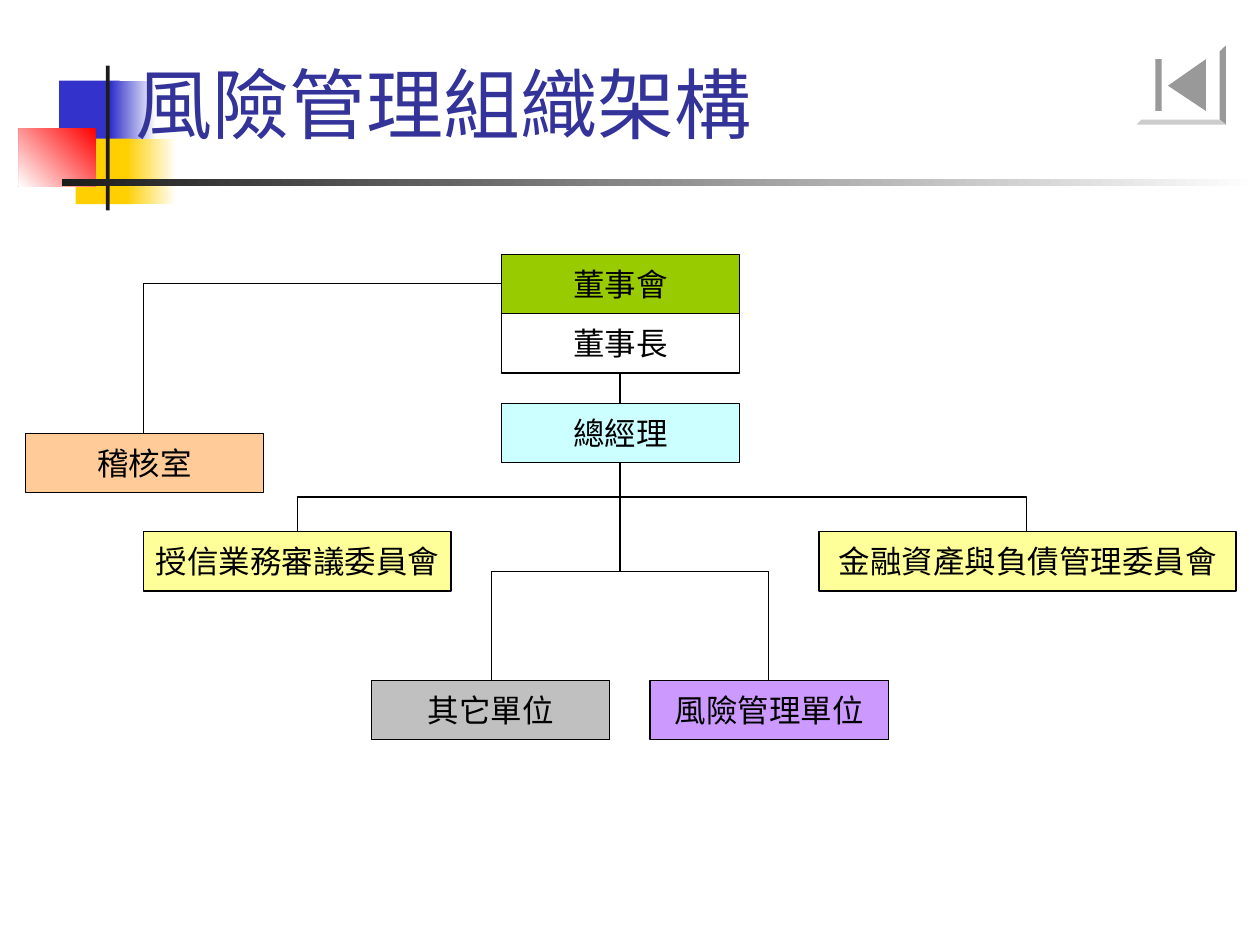
import pptx
import pptx.util
import pptx.dml.color
import pptx.enum.shapes
import pptx.enum.text
import pptx.oxml.ns
import lxml.etree
from dataclasses import dataclass

Inches = pptx.util.Inches
Kind = pptx.enum.shapes.MSO_SHAPE
Link = pptx.enum.shapes.MSO_CONNECTOR
Anchor = pptx.enum.text.MSO_ANCHOR
Align = pptx.enum.text.PP_ALIGN
qn = pptx.oxml.ns.qn


@dataclass
class Theme:
    font: str = "Cabin"
    head: int = 44
    body: int = 18
    line: float = 0.75
    ink: str = "000000"
    title: str = "333399"
    white: str = "FFFFFF"
    blue: str = "3333CC"
    gold: str = "FFCF01"
    red: str = "FF0000"
    dark: str = "1C1C1C"
    green: str = "99CC00"
    aqua: str = "CCFFFF"
    peach: str = "FFCC99"
    yellow: str = "FFFF99"
    purple: str = "CC99FF"
    gray: str = "C0C0C0"
    shade: str = "999999"
    pale: str = "CCCCCC"


def rgb(code):
    return pptx.dml.color.RGBColor.from_string(code)


class Deck:
    def __init__(self, theme):
        self.theme = theme
        self.file = pptx.Presentation()
        self.file.slide_width = Inches(10)
        self.file.slide_height = Inches(7.5)
        self.slide = self.file.slides.add_slide(self.file.slide_layouts[6])
        self.shapes = self.slide.shapes

    def label(self, shape, text, size, color):
        shape.text_frame.text = text
        font = shape.text_frame.paragraphs[0].runs[0].font
        font.name = self.theme.font
        font.size = pptx.util.Pt(size)
        font.color.rgb = rgb(color)

    def title(self, text, *area):
        box = self.shapes.add_textbox(*map(Inches, area))
        box.text_frame.word_wrap = True
        box.text_frame.vertical_anchor = Anchor.BOTTOM
        self.label(box, text, self.theme.head, self.theme.title)

    def paint(self, shape, color):
        shape.shadow.inherit = False
        shape.fill.solid()
        shape.fill.fore_color.rgb = rgb(color)
        shape.line.fill.background()

    def rect(self, area, color):
        shape = self.shapes.add_shape(Kind.RECTANGLE, *map(Inches, area))
        self.paint(shape, color)
        return shape

    def fade(self, area, first, last, angle=180):
        fill = self.rect(area, first).fill
        fill.gradient()
        fill.gradient_angle = angle
        for stop, color, place in zip(fill.gradient_stops, (first, last), (0, 1)):
            stop.color.rgb = rgb(color)
            stop.position = place

    def node(self, text, color, left, top, width=1.89, height=0.47):
        shape = self.rect((left, top, width, height), color)
        shape.line.color.rgb = rgb(self.theme.ink)
        shape.line.width = pptx.util.Pt(self.theme.line)
        shape.text_frame.word_wrap = False
        shape.text_frame.vertical_anchor = Anchor.MIDDLE
        self.label(shape, text, self.theme.body, self.theme.ink)
        shape.text_frame.paragraphs[0].alignment = Align.CENTER

    def link(self, start, end, kind=Link.STRAIGHT):
        line = self.shapes.add_connector(kind, *map(Inches, start + end))
        line.line.color.rgb = rgb(self.theme.ink)
        line.line.width = pptx.util.Pt(self.theme.line)
        props = line._element.spPr
        lxml.etree.SubElement(props, qn("a:effectLst"))
        return props

    def elbow(self, start, end, turn, flip=None, preset="bentConnector3"):
        # A quarter turn swaps the sides of the frame around its centre
        (x1, y1), (x2, y2) = start, end
        midx, midy = (x1 + x2) / 2, (y1 + y2) / 2
        halfw, halfh = abs(x2 - x1) / 2, abs(y2 - y1) / 2
        if turn % 180:
            halfw, halfh = halfh, halfw
        props = self.link((midx - halfw, midy - halfh),
                          (midx + halfw, midy + halfh), Link.ELBOW)
        frame = props.find(qn("a:xfrm"))
        frame.set("rot", str(turn * 60000))
        if flip:
            frame.set(flip, "1")
        props.find(qn("a:prstGeom")).set("prst", preset)

    def free(self, points, color):
        spots = [(Inches(x), Inches(y)) for x, y in points]
        pen = self.shapes.build_freeform(*spots[0])
        pen.add_line_segments(spots[1:], close=True)
        self.paint(pen.convert_to_shape(), color)


def main():
    hue = Theme()
    deck = Deck(hue)

    # Corner blocks and title rule
    deck.rect((0.47, 0.64, 0.48, 0.52), hue.blue)
    deck.fade((0.88, 0.64, 0.36, 0.52), hue.white, hue.blue)
    deck.rect((0.6, 1.1, 0.46, 0.52), hue.gold)
    deck.fade((1, 1.1, 0.4, 0.52), hue.white, hue.gold)
    deck.fade((0.15, 1.02, 0.61, 0.46), hue.red, hue.white, 225)
    deck.rect((0.84, 0.52, 0.03, 1.15), hue.dark)
    deck.fade((0.49, 1.42, 9.51, 0.06), hue.white, hue.dark)
    deck.title("風險管理組織架構", 0.98, 0.36, 8.5, 0.87)

    # Organisation boxes
    deck.node("董事會", hue.green, 3.98, 2.02)
    deck.node("董事長", hue.white, 3.98, 2.49)
    deck.node("總經理", hue.aqua, 3.98, 3.2)
    deck.node("稽核室", hue.peach, 0.2, 3.44)
    deck.node("金融資產與負債管理委員會", hue.yellow, 6.5, 4.22, 3.31)
    deck.node("授信業務審議委員會", hue.yellow, 1.14, 4.22, 2.44)
    deck.node("風險管理單位", hue.purple, 5.16, 5.4)
    deck.node("其它單位", hue.gray, 2.95, 5.4)

    # Reporting lines
    trunk = 4.92
    deck.link((trunk, 2.96), (trunk, 3.2))
    for x, y in ((2.36, 4.22), (8.15, 4.22), (3.9, 5.4), (6.1, 5.4)):
        turn, flip = (90, None) if x < trunk else (270, "flipH")
        deck.elbow((trunk, 3.67), (x, y), turn, flip)
    deck.elbow((3.98, 2.25), (1.14, 3.44), 180, "flipV", "bentConnector2")

    # Back button: face, bevels, arrow and bar
    left, top, right, base = 9.02, 0.36, 9.73, 0.99
    near, high, far, low = 9.06, 0.41, 9.68, 0.95
    deck.rect((left, top, right - left, base - top), hue.white)
    deck.free([(right, top), (right, base), (far, low), (far, high)], hue.shade)
    deck.free([(right, base), (left, base), (near, low), (far, low)], hue.pale)
    deck.free([(9.27, 0.68), (9.57, 0.47), (9.57, 0.88)], hue.shade)
    deck.rect((9.17, 0.47, 0.05, 0.41), hue.shade)

    deck.file.save("out.pptx")


if __name__ == "__main__":
    main()
